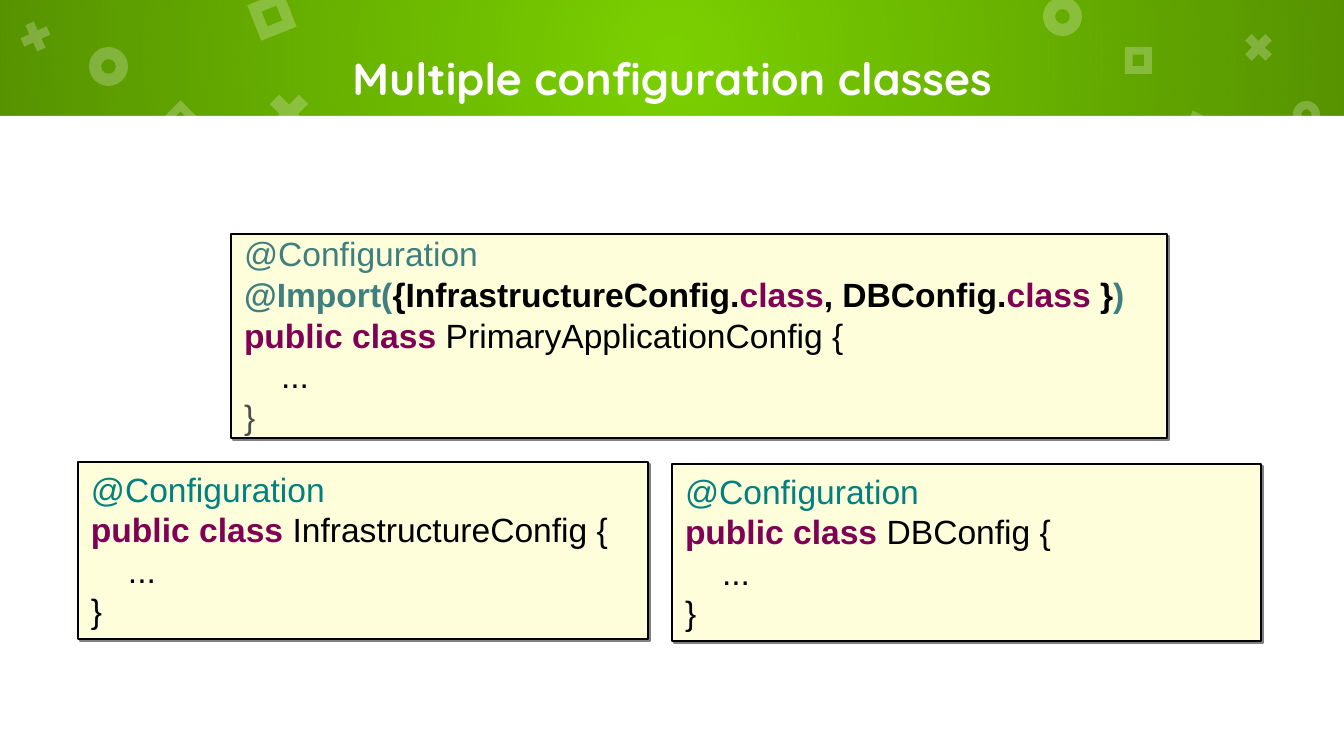
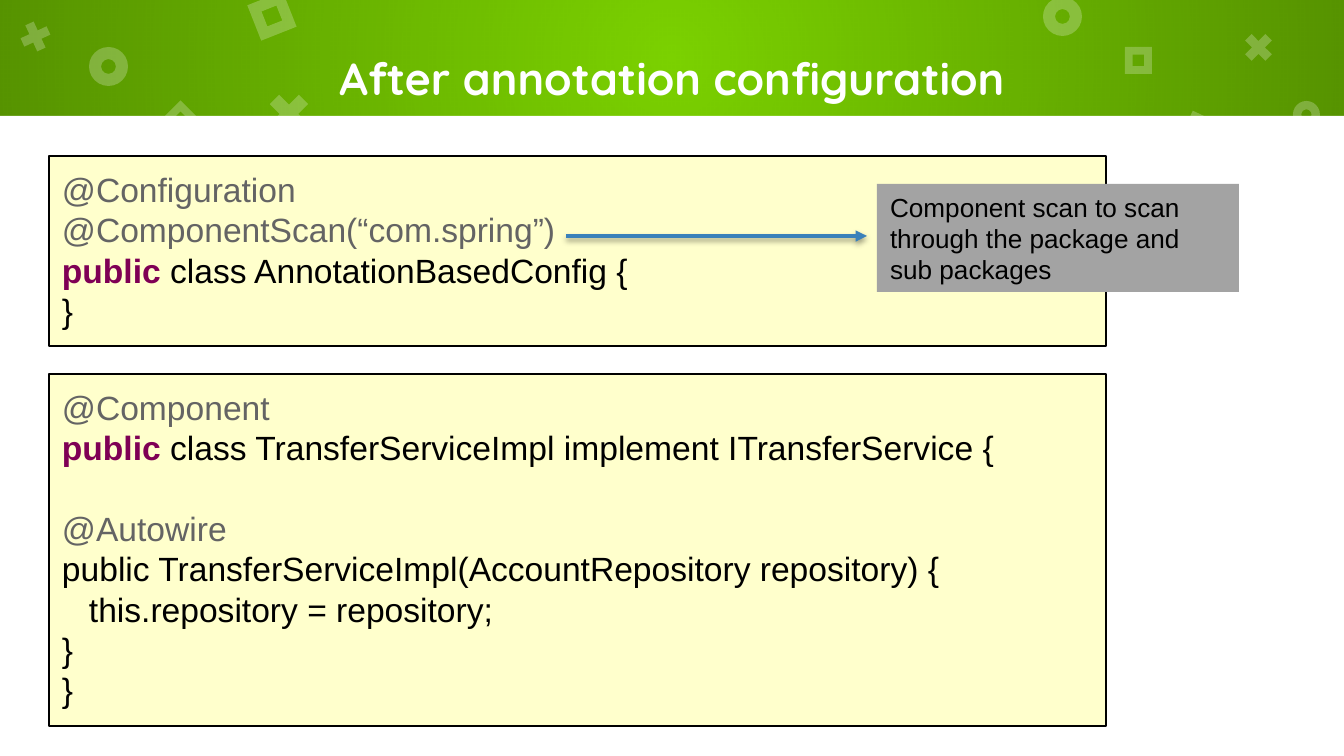
"""Two slides on annotation-based configuration classes."""
from dataclasses import dataclass
from typing import NamedTuple

from lxml import etree
from pptx import Presentation
from pptx import util as u
from pptx.dml.color import RGBColor
from pptx.enum import shapes, text
from pptx.oxml import parse_xml
from pptx.oxml.ns import nsdecls, qn

PX = 914400 / 134.4
SLIDE_W, SLIDE_H = 1344, 756
BAND_H = 116

WHITE, BLACK = "FFFFFF", "000000"
GREEN = "7BD100"
PALE_YELLOW, CREAM = "FEFFDA", "FFFFCC"
KEYWORD = "7F0055"
TEAL, DARK_TEAL = "008080", "3F7F7F"
DARK_GREY, GREY, NOTE_GREY = "4D4D4D", "646464", "A3A3A3"
SHADOW_GREY = "808080"
BLUE = "3A81BA"
TITLE_FONT, CODE_FONT = "Quicksand", "Arial"
BLANK_LINE = 21.6

Kind = shapes.MSO_SHAPE


class Box(NamedTuple):
    """Left, top, width and height in pixels."""
    left: int
    top: int
    width: int
    height: int


class Run(NamedTuple):
    """Words in one colour and weight."""
    words: str
    color: str = BLACK
    bold: bool = False


@dataclass(frozen=True)
class Line:
    """One paragraph: its runs, indent in pixels and extra gap in points."""
    runs: tuple[Run, ...]
    indent: int = 0
    gap: float = 0


@dataclass(frozen=True)
class Motif:
    """A translucent figure in the title band."""
    kind: Kind
    left: int
    top: int
    size: int
    turn: float = 0


@dataclass(frozen=True)
class CodeBox:
    """A framed piece of code."""
    box: Box
    lines: list[Line]
    spacing: float = 1.0
    before: float = 0


MOTIF_ADJUST = {Kind.DONUT: 0.31, Kind.MATH_MULTIPLY: 0.235, Kind.FRAME: 0.289}
MOTIFS = [
    Motif(Kind.DONUT, 89, 47, 39),
    Motif(Kind.MATH_MULTIPLY, 261, 86, 56),
    Motif(Kind.FRAME, 253, -3, 38, 338.4),
    Motif(Kind.DONUT, 1043, -3, 39),
    Motif(Kind.FRAME, 1183, 117, 38, 25),
    Motif(Kind.MATH_MULTIPLY, 16, 17, 39, 20.4),
    Motif(Kind.FRAME, 167, 106, 27, 45),
    Motif(Kind.DONUT, 1293, 101, 27),
    Motif(Kind.MATH_MULTIPLY, 1239, 28, 39),
    Motif(Kind.FRAME, 1125, 47, 27),
]


def px(pixels: float) -> u.Emu:
    """Turn pixels into EMU."""
    return u.Emu(round(pixels * PX))


def rgb(color: str) -> RGBColor:
    """Turn a hex string into a colour."""
    return RGBColor.from_string(color)


def line(words: str, color: str = BLACK, **layout) -> Line:
    """Make a paragraph of a single run."""
    return Line((Run(words, color),), **layout)


def declaration(keyword: str, rest: str) -> Line:
    """Make a code line that opens with a bold keyword."""
    return Line((Run(keyword, KEYWORD, True), Run(rest)))


def write_text(shape, lines: list[Line], *, font: str = CODE_FONT, size: float = 18,
               align=text.PP_ALIGN.LEFT, anchor=text.MSO_ANCHOR.TOP,
               inset: tuple[int, int] = (13, 7), spacing: float = 1.0,
               before: float = 0, grow: bool = False) -> None:
    """Fill a shape with formatted paragraphs."""
    frame = shape.text_frame
    frame.word_wrap = True
    frame.auto_size = (text.MSO_AUTO_SIZE.SHAPE_TO_FIT_TEXT if grow
                       else text.MSO_AUTO_SIZE.NONE)
    frame.vertical_anchor = anchor
    frame.margin_left = frame.margin_right = px(inset[0])
    frame.margin_top = frame.margin_bottom = px(inset[1])
    for index, item in enumerate(lines):
        paragraph = frame.paragraphs[0] if index == 0 else frame.add_paragraph()
        paragraph.alignment = align
        paragraph.line_spacing = spacing
        paragraph.space_before = u.Pt(before + item.gap)
        if item.indent:
            paragraph._p.get_or_add_pPr().set("marL", str(px(item.indent)))
        for part in item.runs:
            run = paragraph.add_run()
            run.text = part.words
            run.font.name, run.font.size = font, u.Pt(size)
            run.font.bold = part.bold
            run.font.color.rgb = rgb(part.color)


def add_panel(slide, kind: Kind, box: Box, fill: str, outline: str | None = None):
    """Add a flat preset shape, framed if an outline colour is given."""
    panel = slide.shapes.add_shape(kind, *map(px, box))
    panel.shadow.inherit = False
    panel.fill.solid()
    panel.fill.fore_color.rgb = rgb(fill)
    if outline:
        panel.line.color.rgb = rgb(outline)
        panel.line.width = u.Pt(1)
    else:
        panel.line.fill.background()
    return panel


def set_shadow(shape, color: str, alpha: int, blur: float, distance: float,
               angle: int) -> None:
    """Give a shape an outer shadow; blur and distance are in points."""
    properties = shape.element.spPr
    effects = properties.find(qn("a:effectLst"))
    if effects is None:
        effects = etree.SubElement(properties, qn("a:effectLst"))
    effects.append(parse_xml(
        f'<a:outerShdw {nsdecls("a")} blurRad="{u.Pt(blur)}" dist="{u.Pt(distance)}" '
        f'dir="{angle * 60000}" algn="ctr" rotWithShape="0"><a:srgbClr val="{color}">'
        f'<a:alpha val="{alpha * 1000}"/></a:srgbClr></a:outerShdw>'))


def set_vignette(band) -> None:
    """Darken a band from its centre outwards."""
    stops = "".join(
        f'<a:gs pos="{pos * 1000}"><a:srgbClr val="{BLACK}">'
        f'<a:alpha val="{alpha * 1000}"/></a:srgbClr></a:gs>'
        for pos, alpha in ((0, 0), (100, 30)))
    solid = band.element.spPr.find(qn("a:solidFill"))
    solid.getparent().replace(solid, parse_xml(
        f'<a:gradFill {nsdecls("a")} rotWithShape="1"><a:gsLst>{stops}</a:gsLst>'
        '<a:path path="circle"><a:fillToRect l="50000" t="50000" r="50000" '
        'b="50000"/></a:path></a:gradFill>'))


def add_motif(slide, motif: Motif):
    """Add one translucent white figure."""
    figure = add_panel(slide, motif.kind,
                       Box(motif.left, motif.top, motif.size, motif.size), WHITE)
    figure.adjustments[0] = MOTIF_ADJUST[motif.kind]
    figure.rotation = motif.turn
    color = figure.element.spPr.find(qn("a:solidFill"))[0]
    etree.SubElement(color, qn("a:alpha")).set("val", "24000")
    return figure


def dress_layout(layout, slide) -> None:
    """Draw the shared band on a slide, then move it to the layout."""
    layout.background.fill.solid()
    layout.background.fill.fore_color.rgb = rgb(GREEN)
    heading = layout.placeholders[0]
    heading.left, heading.top, heading.width, heading.height = map(
        px, Box(128, 0, 1088, BAND_H + 40))
    band = add_panel(slide, Kind.RECTANGLE, Box(0, 0, SLIDE_W, BAND_H), BLACK)
    set_vignette(band)
    page = add_panel(slide, Kind.RECTANGLE,
                     Box(0, BAND_H, SLIDE_W, SLIDE_H - BAND_H), WHITE)
    decor = [band, page] + [add_motif(slide, motif) for motif in MOTIFS]
    for index, part in enumerate(decor):
        part.element.nvSpPr.cNvPr.set("id", str(100 + index))
        layout.shapes.element.insert(2 + index, part.element)


def set_title(slide, words: str) -> None:
    """Write the slide title in the band."""
    write_text(slide.shapes.title, [Line((Run(words, WHITE, True),))],
               font=TITLE_FONT, size=24, align=text.PP_ALIGN.CENTER,
               anchor=text.MSO_ANCHOR.MIDDLE, inset=(13, 13))


def add_arrow(slide, start: tuple[int, int], end: tuple[int, int]) -> None:
    """Add a blue arrow with a soft shadow."""
    arrow = slide.shapes.add_connector(
        shapes.MSO_CONNECTOR.STRAIGHT, *map(px, (*start, *end)))
    arrow.line.color.rgb = rgb(BLUE)
    arrow.line.width = u.Pt(2)
    outline = arrow.element.spPr.find(qn("a:ln"))
    etree.SubElement(outline, qn("a:tailEnd")).set("type", "triangle")
    set_shadow(arrow, BLACK, 38, 3.1, 1.6, 90)


def config_class(name: str) -> list[Line]:
    """Give the code of an empty configuration class."""
    return [line("@Configuration", TEAL),
            declaration("public class", f" {name} {{"),
            line("...", indent=37),
            line("}")]


def build_multiple(slide) -> None:
    """Show a primary class that imports two others."""
    set_title(slide, "Multiple configuration classes")
    primary = [
        line("@Configuration", DARK_TEAL),
        Line((Run("@Import(", DARK_TEAL, True),
              Run("{InfrastructureConfig.", BLACK, True),
              Run("class", KEYWORD, True),
              Run(", DBConfig.", BLACK, True),
              Run("class", KEYWORD, True),
              Run(" }", BLACK, True),
              Run(")", DARK_TEAL, True))),
        declaration("public class ", "PrimaryApplicationConfig {"),
        line("...", indent=37),
        line("}", DARK_GREY),
    ]
    for code in (
            CodeBox(Box(78, 462, 570, 177), config_class("InfrastructureConfig")),
            CodeBox(Box(231, 234, 936, 204), primary, spacing=0.8, before=4.5),
            CodeBox(Box(672, 464, 589, 177), config_class("DBConfig"))):
        panel = add_panel(slide, Kind.RECTANGLE, code.box, PALE_YELLOW, BLACK)
        set_shadow(panel, SHADOW_GREY, 100, 0, 1.4, 45)
        write_text(panel, code.lines, spacing=code.spacing, before=code.before)


def build_annotation(slide) -> None:
    """Show component scanning and an autowired service."""
    set_title(slide, "After annotation configuration")
    scan = [
        line("@Configuration", GREY),
        line("@ComponentScan(“com.spring”)", GREY),
        declaration("public", " class AnnotationBasedConfig {"),
        line("}"),
    ]
    service = [
        line("@Component", GREY),
        declaration("public", " class TransferServiceImpl implement ITransferService {"),
        line("@Autowire", GREY, gap=BLANK_LINE),
        line("public TransferServiceImpl(AccountRepository repository) {"),
        line("this.repository = repository;", indent=27),
        line("}"),
        line("}"),
    ]
    for code in (CodeBox(Box(49, 156, 1057, 190), scan),
                 CodeBox(Box(49, 374, 1057, 352), service)):
        panel = add_panel(slide, Kind.RECTANGLE, code.box, CREAM, BLACK)
        write_text(panel, code.lines, inset=(13, 13), grow=True)
    note = add_panel(slide, Kind.RECTANGLE, Box(877, 184, 362, 108), NOTE_GREY)
    write_text(note, [line("Component scan to scan through the package and sub packages")],
               size=14, grow=True)
    add_arrow(slide, (566, 236), (867, 236))


def main() -> None:
    """Build and save the presentation."""
    deck = Presentation()
    deck.slide_width, deck.slide_height = px(SLIDE_W), px(SLIDE_H)
    layout = deck.slide_layouts[5]
    first, second = (deck.slides.add_slide(layout) for _ in range(2))
    dress_layout(layout, first)
    build_multiple(first)
    build_annotation(second)
    deck.save("out.pptx")


main()
